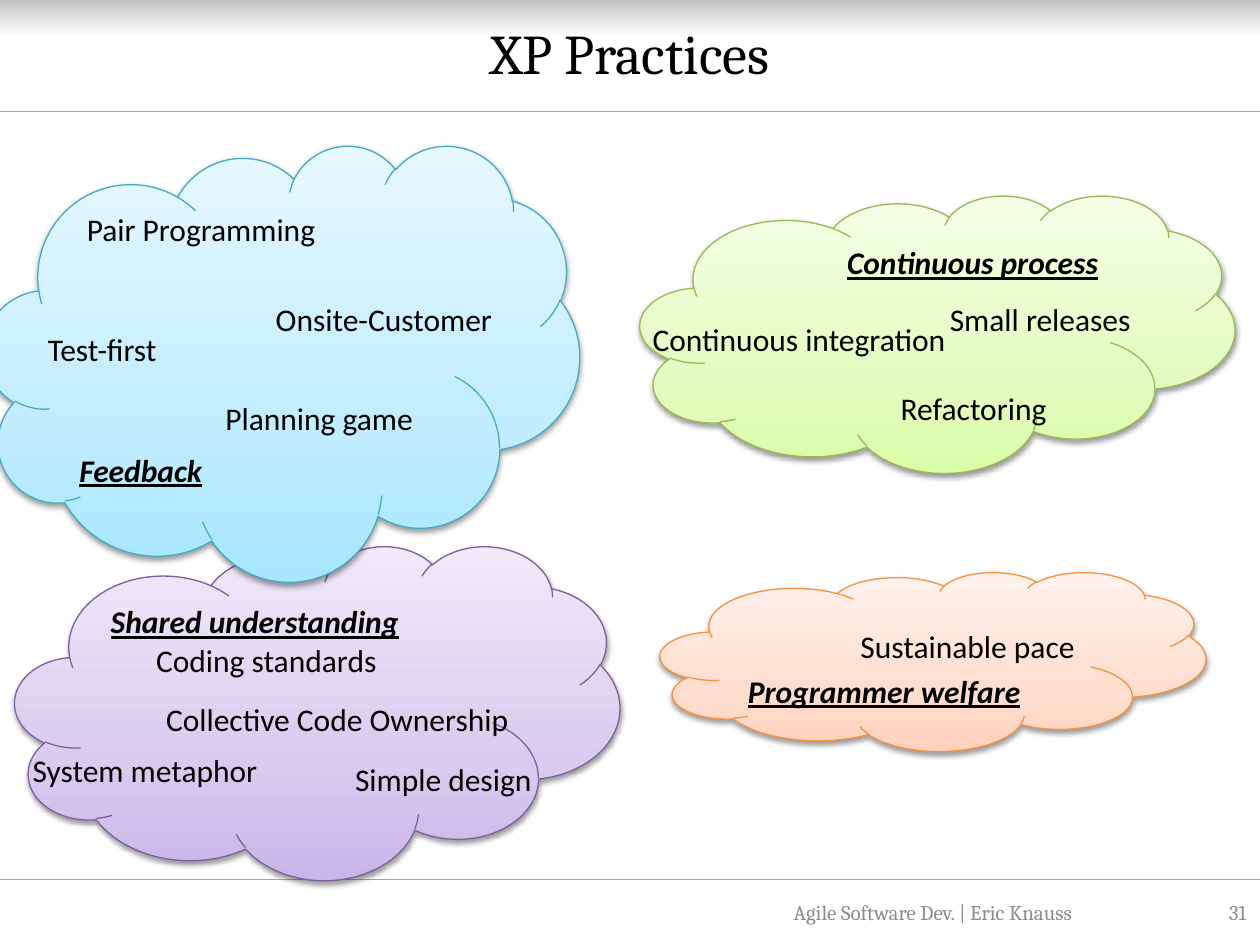
from copy import deepcopy

from lxml.etree import SubElement
from pptx import Presentation
from pptx.dml.color import RGBColor
from pptx.enum.shapes import MSO_CONNECTOR, MSO_SHAPE
from pptx.enum.text import MSO_ANCHOR, MSO_AUTO_SIZE, PP_ALIGN
from pptx.oxml.ns import qn
from pptx.util import Pt

WIDTH, HEIGHT = 720, 540
LABEL_HEIGHT = 29
BLACK = RGBColor(0x00, 0x00, 0x00)
FOOTER_GREY = RGBColor(0x8C, 0x8C, 0x8C)
RULE_GREY = RGBColor(0xA6, 0xA6, 0xA6)
HEADER_STOPS = ((0, RGBColor(0xBF, 0xBF, 0xBF)), (0.34, RGBColor(0xD9, 0xD9, 0xD9)),
                (1, RGBColor(0xFF, 0xFF, 0xFF)))
GREEN_LINE = RGBColor(0x98, 0xB9, 0x55)
GREEN_STOPS = ((0, RGBColor(0xDA, 0xFD, 0xA7)), (0.35, RGBColor(0xE4, 0xFC, 0xC2)),
               (1, RGBColor(0xF5, 0xFF, 0xE7)))
PURPLE_LINE = RGBColor(0x7D, 0x60, 0xA0)
PURPLE_STOPS = ((0, RGBColor(0xC9, 0xB5, 0xE8)), (0.35, RGBColor(0xD8, 0xCB, 0xEE)),
                (1, RGBColor(0xF0, 0xEA, 0xF9)))
ORANGE_LINE = RGBColor(0xF6, 0x92, 0x40)
ORANGE_STOPS = ((0, RGBColor(0xFF, 0xD2, 0xBD)), (0.35, RGBColor(0xFF, 0xDE, 0xD0)),
                (1, RGBColor(0xFF, 0xF2, 0xED)))
BLUE_LINE = RGBColor(0x46, 0xAA, 0xC5)
BLUE_STOPS = ((0, RGBColor(0xA7, 0xE6, 0xFF)), (0.35, RGBColor(0xC1, 0xED, 0xFF)),
              (1, RGBColor(0xE7, 0xF8, 0xFF)))

CLOUDS = (
    ("Continuous process", (365.8, 111.6, 339.8, 158.4), GREEN_LINE, GREEN_STOPS,
     MSO_ANCHOR.TOP, PP_ALIGN.RIGHT,
     (("Continuous integration", 0, 67.7, 184.3),
      ("Refactoring", 141.8, 107.3, 99.4),
      ("Small releases", 169.9, 56.2, 119.5))),
    ("Shared understanding", (8.6, 311.8, 345.6, 190.8), PURPLE_LINE, PURPLE_STOPS,
     MSO_ANCHOR.TOP, PP_ALIGN.LEFT,
     (("System metaphor", 2.9, 113.7, 145.4),
      ("Simple design", 187.2, 118.8, 116.6),
      ("Collective Code Ownership", 79.2, 84.9, 212.4),
      ("Coding standards", 73.5, 51.1, 142.6))),
    ("Programmer welfare", (377.3, 326.9, 311.8, 102.2), ORANGE_LINE, ORANGE_STOPS,
     MSO_ANCHOR.BOTTOM, PP_ALIGN.LEFT,
     (("Sustainable pace", 107.3, 28.1, 139),)),
    ("Feedback", (-8.6, 82.8, 339.8, 249.1), BLUE_LINE, BLUE_STOPS,
     MSO_ANCHOR.BOTTOM, PP_ALIGN.LEFT,
     (("Pair Programming", 51.1, 33.8, 147.6),
      ("Planning game", 130.3, 141.8, 123.1),
      ("Test-first", 28.8, 102.2, 80.6),
      ("Onsite-Customer", 159.1, 85, 139.7))),
)


def add_text(tf, text, size=18, font="Calibri", color=BLACK, align=PP_ALIGN.LEFT):
    """Write one run into the first paragraph and return it."""
    p = tf.paragraphs[0]
    p.alignment = align
    r = p.add_run()
    r.text = text
    r.font.size = Pt(size)
    r.font.name = font
    r.font.color.rgb = color
    return r


def set_gradient(sp, stops, angle):
    """Fill a shape with a linear three-stop gradient."""
    sp.fill.gradient()
    sp.fill.gradient_angle = angle
    gs_list = sp._element.spPr.find(qn("a:gradFill")).find(qn("a:gsLst"))
    gs_list.append(deepcopy(gs_list[0]))
    for stop, (position, color) in zip(sp.fill.gradient_stops, stops):
        stop.position = position
        stop.color.rgb = color


def add_shadow(sp):
    """Give a shape a soft shadow that falls straight down."""
    effects = SubElement(sp._element.spPr, qn("a:effectLst"))
    shadow = SubElement(effects, qn("a:outerShdw"), blurRad=str(Pt(3.1)),
                        dist=str(Pt(1.6)), dir="5400000", rotWithShape="0")
    color = SubElement(shadow, qn("a:srgbClr"), val=str(BLACK))
    SubElement(color, qn("a:alpha"), val="38000")


def add_rule(slide, y):
    """Draw a thin line across the slide."""
    line = slide.shapes.add_connector(MSO_CONNECTOR.STRAIGHT, 0, Pt(y), Pt(WIDTH), Pt(y))
    line.line.color.rgb = RULE_GREY
    line.line.width = Pt(0.75)
    SubElement(line._element.spPr, qn("a:effectLst"))


def add_header(slide, box, title):
    """Place the shaded band, the title and the rule below them."""
    x, y, w, h = box
    band = slide.shapes.add_shape(MSO_SHAPE.RECTANGLE, Pt(x), Pt(y), Pt(w), Pt(21))
    band.shadow.inherit = False
    band.line.fill.background()
    set_gradient(band, HEADER_STOPS, 270)
    add_rule(slide, y + h)

    sp = slide.shapes.title
    sp.left, sp.top, sp.width, sp.height = Pt(x + 36), Pt(y + 2.2), Pt(w - 72), Pt(55.4)
    slide.shapes._spTree.append(sp._element)
    sp.text_frame.vertical_anchor = MSO_ANCHOR.MIDDLE
    add_text(sp.text_frame, title, 32, "Cambria", align=PP_ALIGN.CENTER)


def add_cloud(slide, box, name, line_color, stops, anchor, align, practices):
    """Place a named cloud and its practices, offset from the cloud's corner."""
    x, y, w, h = box
    sp = slide.shapes.add_shape(MSO_SHAPE.CLOUD, Pt(x), Pt(y), Pt(w), Pt(h))
    set_gradient(sp, stops, 90)
    sp.line.color.rgb = line_color
    sp.line.width = Pt(0.75)
    add_shadow(sp)
    sp.text_frame.vertical_anchor = anchor
    r = add_text(sp.text_frame, name, align=align)
    r.font.bold = r.font.italic = r.font.underline = True

    for text, dx, dy, width in practices:
        label = slide.shapes.add_textbox(Pt(x + dx), Pt(y + dy), Pt(width), Pt(LABEL_HEIGHT))
        tf = label.text_frame
        tf.word_wrap = False
        tf.auto_size = MSO_AUTO_SIZE.SHAPE_TO_FIT_TEXT
        add_text(tf, text)


def add_footer(slide, box, text, number):
    """Place the rule, the footer text and the slide number."""
    x, y, w, h = box
    add_rule(slide, y)
    for content, dx, width, align in ((text, 419, 228.2, PP_ALIGN.CENTER),
                                      (number, 653, 66.2, PP_ALIGN.RIGHT)):
        sp = slide.shapes.add_textbox(Pt(x + dx), Pt(y + 4.3), Pt(width), Pt(LABEL_HEIGHT))
        tf = sp.text_frame
        tf.word_wrap = True
        tf.vertical_anchor = MSO_ANCHOR.MIDDLE
        add_text(tf, content, 12, "Cambria", FOOTER_GREY, align)


def main():
    """Build and save the slide."""
    prs = Presentation()
    prs.slide_width, prs.slide_height = Pt(WIDTH), Pt(HEIGHT)
    slide = prs.slides.add_slide(prs.slide_layouts[5])
    add_header(slide, (0, 0, WIDTH, 63.9), "XP Practices")
    add_footer(slide, (0, 502.6, WIDTH, 37.4), "Agile Software Dev. | Eric Knauss", "31")
    for name, box, line_color, stops, anchor, align, practices in CLOUDS:
        add_cloud(slide, box, name, line_color, stops, anchor, align, practices)
    prs.save("out.pptx")


if __name__ == "__main__":
    main()
